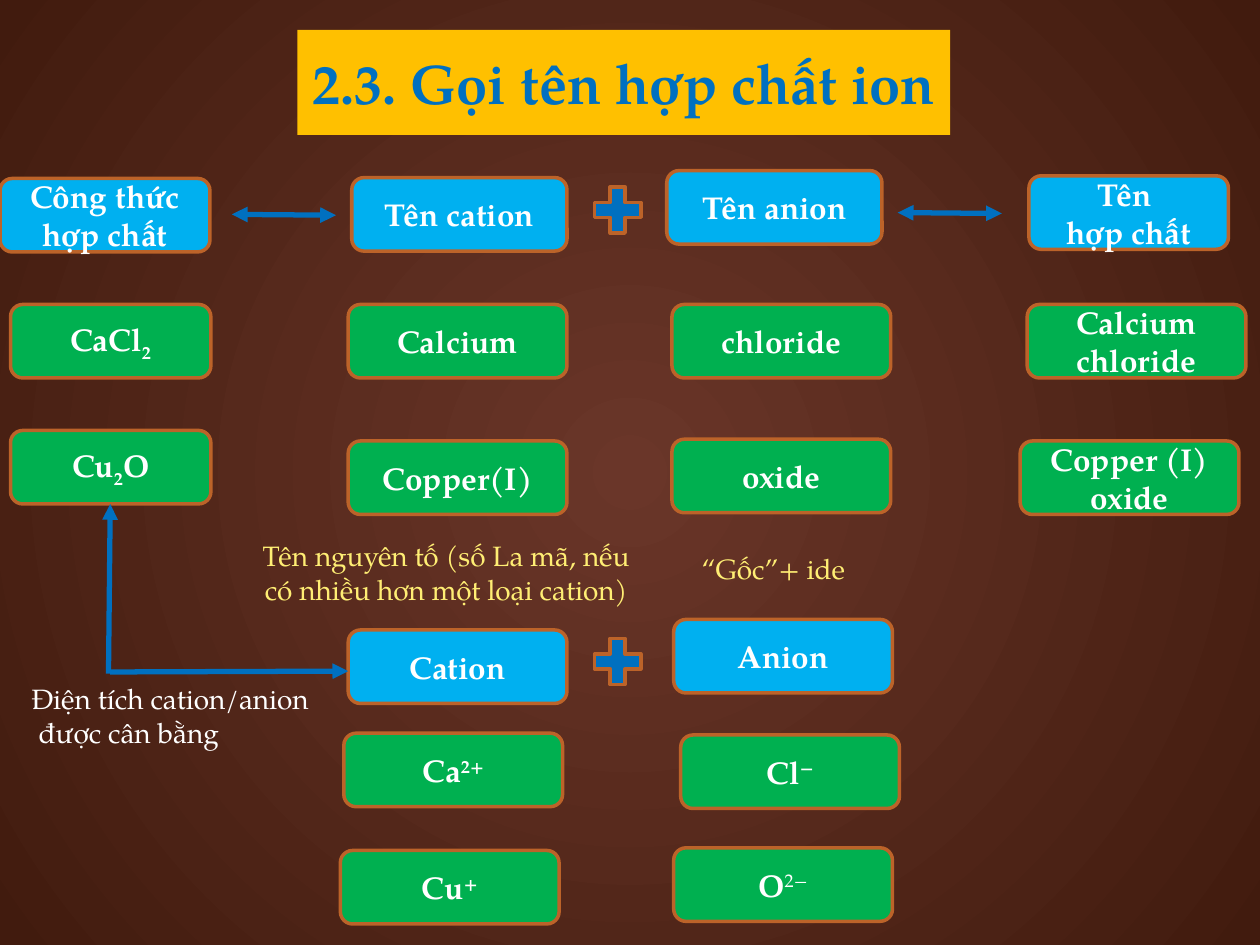
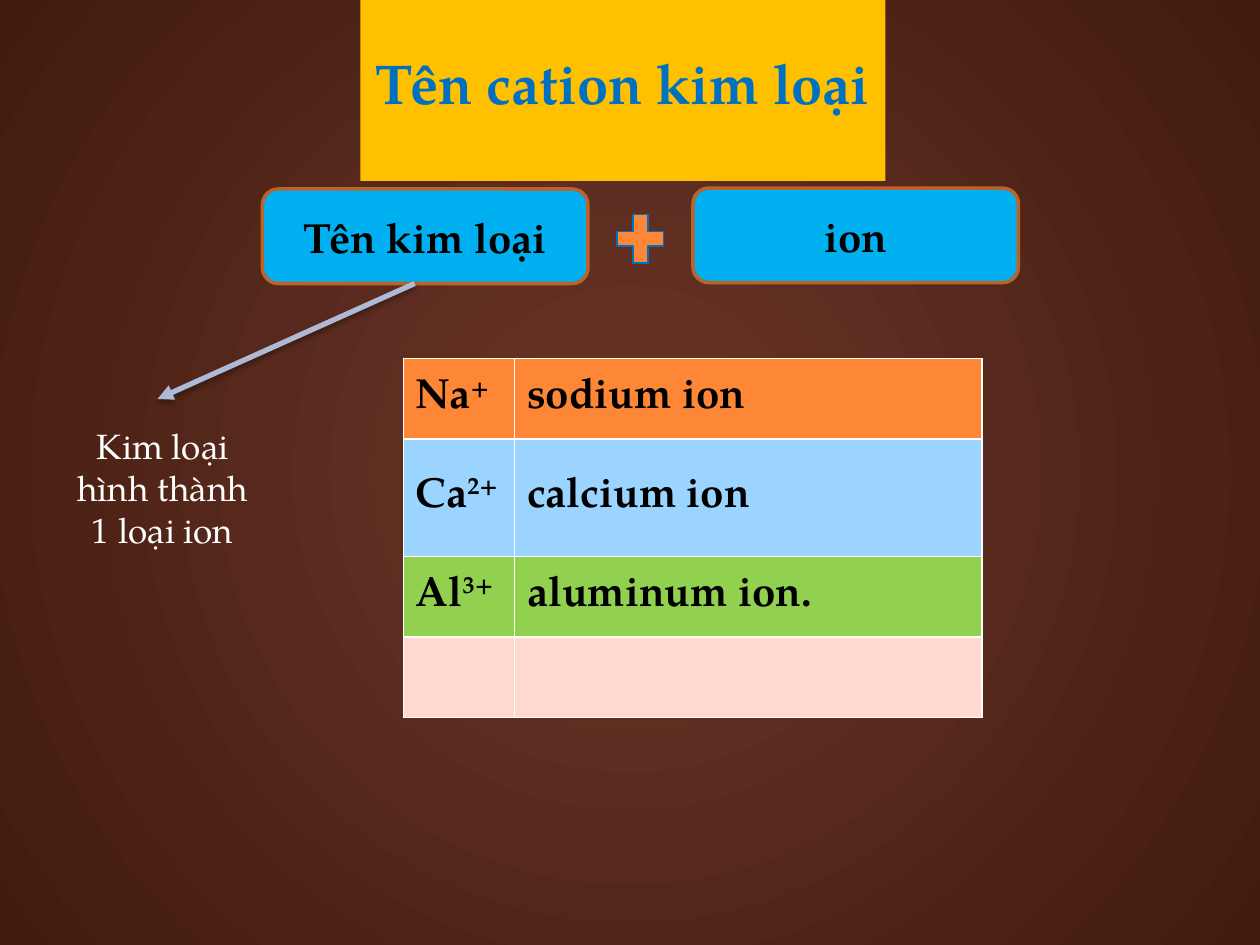
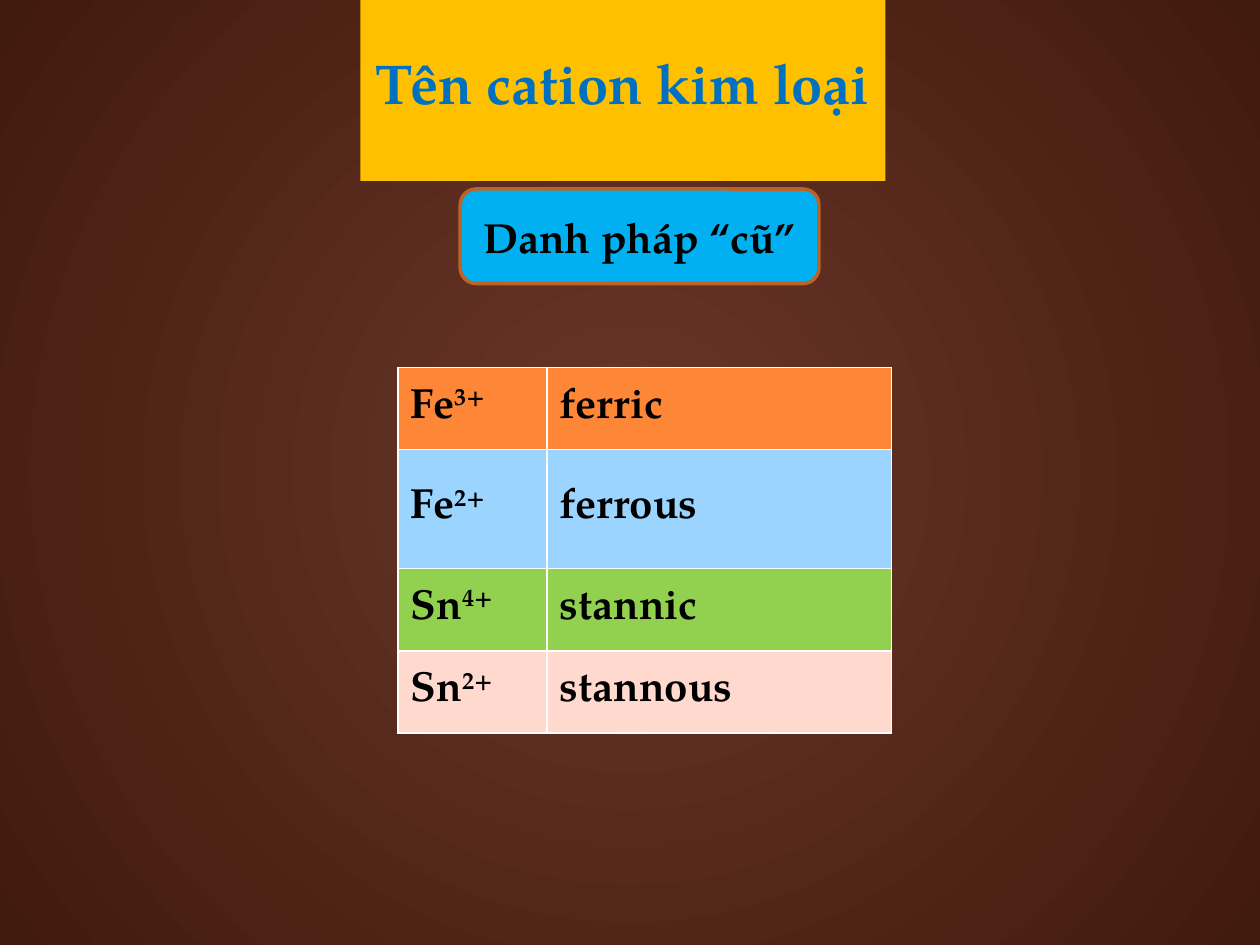
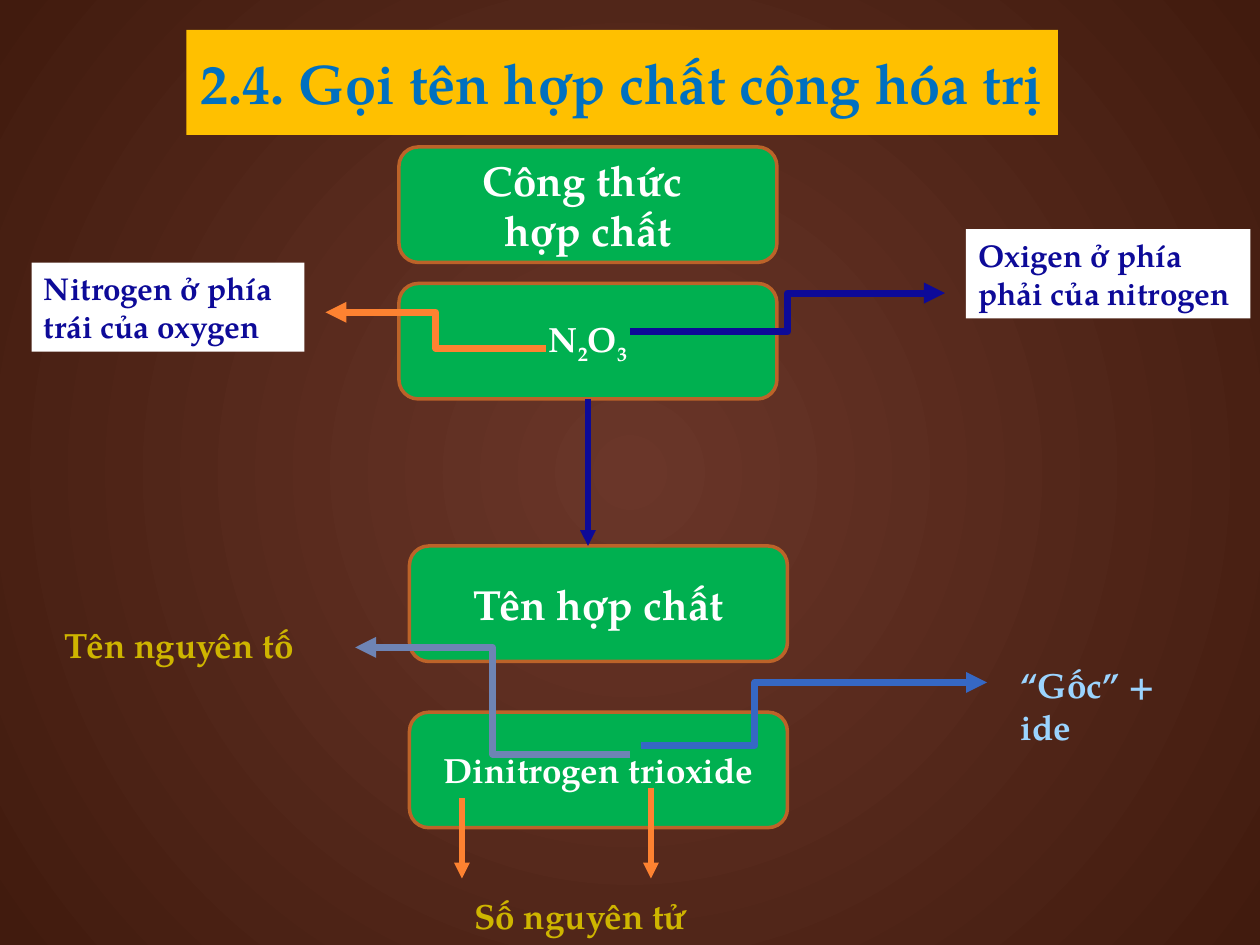
from pptx import Presentation
from pptx.dml.color import RGBColor
from pptx.enum.shapes import MSO_CONNECTOR, MSO_SHAPE
from pptx.enum.text import MSO_ANCHOR, MSO_AUTO_SIZE, PP_ALIGN
from pptx.oxml import parse_xml
from pptx.oxml.ns import nsdecls, qn
from pptx.util import Pt

FONT = "TeX Gyre Pagella"
WHITE = RGBColor(0xFF, 0xFF, 0xFF)
BLACK = RGBColor(0, 0, 0)
BROWN = RGBColor(0x6A, 0x36, 0x29)
DARK_BROWN = RGBColor(0x41, 0x1B, 0x0E)
AMBER = RGBColor(0xFF, 0xC0, 0x00)
BLUE = RGBColor(0x00, 0x70, 0xC0)
SKY = RGBColor(0x00, 0xB0, 0xF0)
GREEN = RGBColor(0x00, 0xB0, 0x50)
RUST = RGBColor(0xBC, 0x63, 0x29)
YELLOW = RGBColor(0xFF, 0xEE, 0x74)
GOLD = RGBColor(0xCE, 0xB5, 0x00)
NAVY = RGBColor(0x0D, 0x0A, 0x98)
ORANGE = RGBColor(0xFE, 0x86, 0x37)
DEEP_ORANGE = RGBColor(0xFD, 0x82, 0x31)
PALE_BLUE = RGBColor(0x9B, 0xD4, 0xFF)
LIME = RGBColor(0x92, 0xD0, 0x50)
PINK = RGBColor(0xFF, 0xD9, 0xCE)
MIST = RGBColor(0xAE, 0xBA, 0xD5)
STEEL = RGBColor(0x6E, 0x84, 0xB4)
ROYAL = RGBColor(0x36, 0x68, 0xC4)
ROW_FILLS = [ORANGE, PALE_BLUE, LIME, PINK]

# Text markup: "|" separates runs, a leading "_" lowers a run and "^" raises it.
BASELINES = {"_": "-25000", "^": "30000"}

# Titles: text, left, width
TITLES = [
    ("2.3. Gọi tên hợp chất ion", 170, 373),
    ("Tên cation kim loại", 206, 300),
    ("Tên cation kim loại", 206, 300),
    ("2.4. Gọi tên hợp chất cộng hóa trị", 106.5, 498),
]

# Naming boxes: text, left, top, width
NAME_HEIGHT = 42
NAME_HEADERS = [
    ("Công thức hợp chất", 0, 102, 120),
    ("Tên cation", 201, 101.5, 123),
    ("Tên anion", 381, 97.5, 123),
    ("Tên \nhợp chất", 588, 100.5, 114),
    ("Cation", 199, 360, 125),
    ("Anion", 385, 354, 125),
]
NAME_EXAMPLES = [
    ("CaCl|_2", 6, 174, 114.5),
    ("Calcium", 199, 174, 125),
    ("chloride", 384, 174, 125),
    ("Calcium chloride", 587, 174, 125),
    ("Cu|_2|O", 6, 246, 114.5),
    ("Copper(I)", 199, 252, 125),
    ("oxide", 384, 251, 125),
    ("Copper (I) oxide", 583, 252, 125),
    ("Ca|^2+", 196.5, 419, 125),
    ("Cl|^−", 389, 420, 125),
    ("Cu|^+", 194.5, 486, 125),
]
OXIDE_ION = ("O|^2−", 385, 484.5, 125)
NAME_RULES = [
    ("Tên nguyên tố (số La mã, nếu có nhiều hơn một loại cation)", (138, 294, 234, 66)),
    ("“Gốc”+ ide", (353, 300, 178, 49)),
]
PLUS_TOPS = [102, 360]
DOUBLE_ARROWS = [(132.5, 122.5, 192, 123), (513, 121.5, 572.5, 122)]
CHARGE_ARROWS = [(63, 384, 199, 383.5), (62, 385, 63, 288)]
CHARGE_NOTE = "Điện tích cation/anion\n được cân bằng"

METAL_BOXES = [("Tên kim loại", (150, 108, 186, 54)), ("ion", (396, 107.5, 186, 54))]
METAL_IONS = [("Na|^+", "sodium ion"), ("Ca|^2+", "calcium ion"),
              ("Al|^3+", "aluminum ion."), ("", "")]
OLD_NAMES = [("Fe|^3+", "ferric"), ("Fe|^2+", "ferrous"),
             ("Sn|^4+", "stannic"), ("Sn|^2+", "stannous")]

# Covalent compound boxes: text, left, top, text size
COVALENT_BOXES = [
    ("Công thức \nhợp chất", 228, 84, 24),
    ("N|_2|O|_3", 228, 162, 20),
    ("Tên hợp chất", 234, 312, 24),
    ("Dinitrogen trioxide", 234, 407, 20),
]
# Straight arrows: ends, colour
COVALENT_ARROWS = [
    ((336, 228, 336, 312), NAVY),
    ((264, 456, 264, 502), DEEP_ORANGE),
    ((372, 450, 372, 502), DEEP_ORANGE),
]
# Elbow arrows: ends, colour, place of the bend along the width
ELBOWS = [
    ((366, 426, 564, 390), ROYAL, 0.33),
    ((360, 431, 203, 370), STEEL, 0.5),
    ((312, 199, 186, 178.5), DEEP_ORANGE, 0.5),
    ((360, 189.5, 540, 167.5), NAVY, 0.5),
]
COVALENT_LABELS = [
    ("Số nguyên tử", (264, 507.5, 216, 31.5), GOLD),
    ("Tên nguyên tố", (30, 353, 165, 31.5), GOLD),
    ("“Gốc” + ide", (576, 375.5, 121, 31.5), PALE_BLUE),
]
POSITION_NOTES = [
    ("Nitrogen ở phía trái của oxygen", (18, 150, 156, 51)),
    ("Oxigen ở phía phải của nitrogen", (552, 131, 162.5, 51)),
]


def points(values):
    return [Pt(value) for value in values]


def write_text(frame, text, size, color, bold=True, align=PP_ALIGN.CENTER):
    for index, line in enumerate(text.split("\n")):
        paragraph = frame.add_paragraph() if index else frame.paragraphs[0]
        paragraph.alignment = align
        for part in line.split("|"):
            run = paragraph.add_run()
            run.text = part.lstrip("_^")
            for name, value in {"name": FONT, "size": Pt(size), "bold": bold}.items():
                setattr(run.font, name, value)
            run.font.color.rgb = color
            if part[:1] in BASELINES:
                run.font._element.set("baseline", BASELINES[part[0]])


def add_titled_slide(presentation, text, left, width):
    slide = presentation.slides.add_slide(presentation.slide_layouts[5])
    title = slide.shapes.title
    title.left, title.top, title.width, title.height = points((left, 24, width, 46))
    title.fill.solid()
    title.fill.fore_color.rgb = AMBER
    frame_format = {"word_wrap": False, "auto_size": MSO_AUTO_SIZE.SHAPE_TO_FIT_TEXT,
                    "vertical_anchor": MSO_ANCHOR.MIDDLE}
    for name, value in frame_format.items():
        setattr(title.text_frame, name, value)
    write_text(title.text_frame, text, 32, BLUE)
    return slide


def add_preset(slide, preset, place, fill=None, line=None, line_width=2):
    shape = slide.shapes.add_shape(preset, *points(place))
    shape.shadow.inherit = False
    if fill is None:
        shape.fill.background()
    else:
        shape.fill.solid()
        shape.fill.fore_color.rgb = fill
    if line is None:
        shape.line.fill.background()
    else:
        shape.line.color.rgb = line
        shape.line.width = Pt(line_width)
    return shape


def add_box(slide, text, place, fill, size, color=WHITE):
    box = add_preset(slide, MSO_SHAPE.ROUNDED_RECTANGLE, place, fill, RUST)
    write_text(box.text_frame, text, size, color)
    return box


def add_label(slide, text, place, size, color, bold=True, align=PP_ALIGN.LEFT, wrap=True):
    label = slide.shapes.add_textbox(*points(place))
    label.text_frame.word_wrap = wrap
    write_text(label.text_frame, text, size, color, bold, align)


def add_arrow(slide, ends, color, width=3, kind=MSO_CONNECTOR.STRAIGHT,
              both=False, bend=None, shadow=""):
    """Draw an arrow; shadow is the XML inside its effect list."""
    arrow = slide.shapes.add_connector(kind, *points(ends))
    arrow.line.color.rgb = color
    arrow.line.width = Pt(width)
    line = arrow.line._get_or_add_ln()
    for end in ["headEnd", "tailEnd"] if both else ["tailEnd"]:
        line.append(parse_xml(f'<a:{end} {nsdecls("a")} type="triangle"/>'))
    properties = arrow._element.spPr
    properties.append(parse_xml(f'<a:effectLst {nsdecls("a")}>{shadow}</a:effectLst>'))
    if bend is not None:
        properties.find(qn("a:prstGeom")).get_or_add_avLst().append(parse_xml(
            f'<a:gd {nsdecls("a")} name="adj1" fmla="val {round(bend * 100000)}"/>'))


def add_ion_table(slide, rows, left, top, widths, heights):
    place = points((left, top, sum(widths), sum(heights)))
    table = slide.shapes.add_table(len(rows), len(widths), *place).table
    for column, width in zip(table.columns, widths):
        column.width = Pt(width)
    for row, height, texts, fill in zip(table.rows, heights, rows, ROW_FILLS):
        row.height = Pt(height)
        for cell, text in zip(row.cells, texts):
            cell.fill.solid()
            cell.fill.fore_color.rgb = fill
            cell.vertical_anchor = MSO_ANCHOR.MIDDLE
            if text:
                write_text(cell.text_frame, text, 24, BLACK, align=PP_ALIGN.LEFT)


def set_background(master):
    fill = master.background.fill
    fill.gradient()
    for stop, color, position in zip(fill.gradient_stops, (BROWN, DARK_BROWN), (0, 1)):
        stop.color.rgb = color
        stop.position = position
    linear = next(master.element.iter(qn("a:lin")))
    linear.getparent().replace(linear, parse_xml(
        f'<a:path {nsdecls("a")} path="circle">'
        '<a:fillToRect l="50000" t="50000" r="50000" b="50000"/></a:path>'))


def fill_ionic_slide(slide):
    for boxes, fill in [(NAME_HEADERS, SKY), (NAME_EXAMPLES, GREEN)]:
        for text, left, top, width in boxes:
            add_box(slide, text, (left, top, width, NAME_HEIGHT), fill, 18)
    text, *place = OXIDE_ION
    oxide = add_box(slide, text, (*place, NAME_HEIGHT), GREEN, 18)
    oxide.text_frame.paragraphs[0].runs[1].font.bold = False
    for text, place in NAME_RULES:
        rule = add_preset(slide, MSO_SHAPE.ROUNDED_RECTANGLE, place)
        write_text(rule.text_frame, text, 16, YELLOW, bold=False)
    for top in PLUS_TOPS:
        add_preset(slide, MSO_SHAPE.MATH_PLUS, (335, top, 36, 36), BLUE, RUST)
    for ends in DOUBLE_ARROWS:
        add_arrow(slide, ends, BLUE, both=True)
    for ends in CHARGE_ARROWS:
        add_arrow(slide, ends, BLUE)
    add_label(slide, CHARGE_NOTE, (11, 386, 173, 46), 16, WHITE, bold=False, wrap=False)


def fill_metal_slide(slide):
    for text, place in METAL_BOXES:
        add_box(slide, text, place, SKY, 24, BLACK)
    add_preset(slide, MSO_SHAPE.MATH_PLUS, (348, 117.5, 36, 38), ORANGE, BLUE, 1)
    add_ion_table(slide, METAL_IONS, 230.5, 205, (63.5, 267), (46, 67, 46, 46))
    add_arrow(slide, (237, 162, 90, 228), MIST, shadow=(
        '<a:outerShdw blurRad="40000" dist="23000" dir="5400000" rotWithShape="0">'
        '<a:srgbClr val="000000"><a:alpha val="35000"/></a:srgbClr></a:outerShdw>'))
    add_label(slide, "Kim loại hình thành 1 loại ion", (36, 239, 114, 80), 20, WHITE,
              bold=False, align=PP_ALIGN.CENTER)


def fill_old_names_slide(slide):
    add_box(slide, "Danh pháp “cũ”", (263, 108, 205, 54), SKY, 24, BLACK)
    add_ion_table(slide, OLD_NAMES, 227.5, 210, (85, 197), (47, 68, 47, 47))


def fill_covalent_slide(slide):
    for text, left, top, size in COVALENT_BOXES:
        add_box(slide, text, (left, top, 216, 66), GREEN, size)
    for ends, color in COVALENT_ARROWS:
        add_arrow(slide, ends, color)
    for text, place, color in COVALENT_LABELS:
        add_label(slide, text, place, 20, color)
    for ends, color, bend in ELBOWS:
        add_arrow(slide, ends, color, 4, MSO_CONNECTOR.ELBOW, bend=bend)
    for text, place in POSITION_NOTES:
        note = add_preset(slide, MSO_SHAPE.RECTANGLE, place, WHITE)
        write_text(note.text_frame, text, 18, NAVY, align=PP_ALIGN.LEFT)


def main():
    presentation = Presentation()
    presentation.slide_width, presentation.slide_height = points((720, 540))
    set_background(presentation.slide_master)
    fillers = [fill_ionic_slide, fill_metal_slide, fill_old_names_slide, fill_covalent_slide]
    for title, fill_slide in zip(TITLES, fillers):
        fill_slide(add_titled_slide(presentation, *title))
    presentation.save("out.pptx")


if __name__ == "__main__":
    main()
